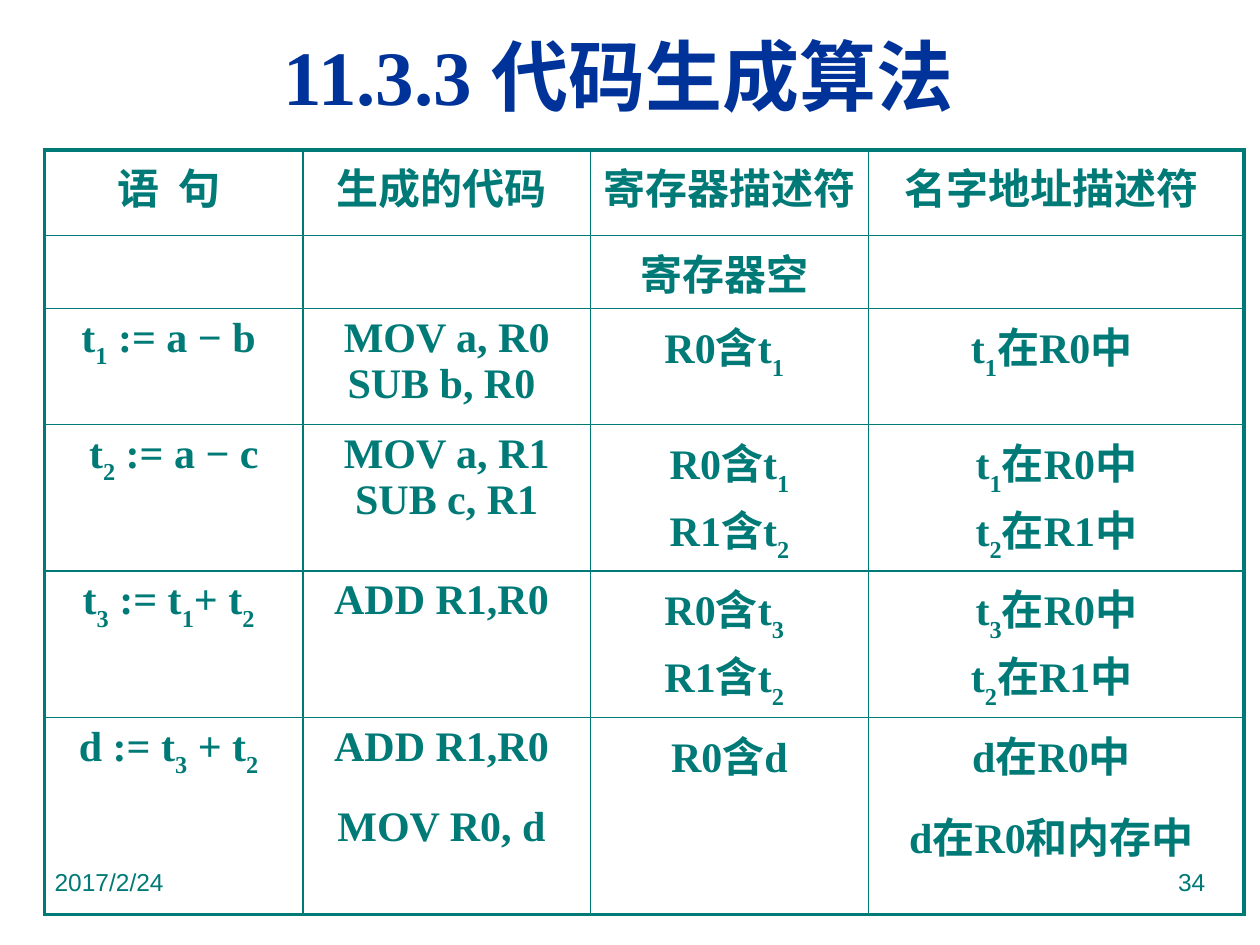
from lxml.etree import SubElement
from pptx import Presentation
from pptx.dml.color import RGBColor
from pptx.enum.text import MSO_ANCHOR, PP_ALIGN
from pptx.oxml.ns import qn
from pptx.util import Cm, Pt

TEAL = "007A77"
SERIF = "Times New Roman"
CELL = {"name": SERIF, "size": Pt(24), "bold": True}
TITLE = {"name": SERIF, "size": Pt(44), "bold": True}
FOOT = {"name": "Arial", "size": Pt(14)}
COLS = [5.21, 5.79, 5.61, 7.57]
ROWS = [1.73, 1.47, 2.34, 2.95, 2.95, 1.63, 2.34]
DATA = [
    ["语  句 ", "生成的代码 ", "寄存器描述符", "名字地址描述符 "],
    ["", "", "寄存器空 ", ""],
    ["t_1 := a − b ", "MOV a, R0\nSUB b, R0 ", "R0含t_1 ", "t_1在R0中 "],
    ["t_2 := a − c", "MOV a, R1\nSUB c, R1", "R0含t_1\nR1含t_2", "t_1在R0中\nt_2在R1中"],
    ["t_3 := t_1+ t_2 ", "ADD R1,R0 ", "R0含t_3 \nR1含t_2 ", "t_3在R0中\nt_2在R1中 "],
    ["d := t_3 + t_2 ", "ADD R1,R0 ", "R0含d", "d在R0中 "],
    ["", "MOV R0, d ", "", "d在R0和内存中 "],
]


def paint(text):
    return RGBColor.from_string(text)


def add_run(para, text, style, color, sub=False):
    run = para.add_run()
    run.text = text
    for key, value in style.items():
        setattr(run.font, key, value)
    run.font.color.rgb = paint(color)
    if sub:
        run._r.get_or_add_rPr().set("baseline", "-30000")


def write(frame, text, style, color, align):
    for i, line in enumerate(text.split("\n")):
        para = frame.paragraphs[0] if i == 0 else frame.add_paragraph()
        para.alignment = align
        head, *tail = line.split("_")
        if head:
            add_run(para, head, style, color)
        for part in tail:
            add_run(para, part[0], style, color, True)
            if part[1:]:
                add_run(para, part[1:], style, color)


def add_text(slide, box, text, style, color, align, anchor=MSO_ANCHOR.TOP):
    frame = slide.shapes.add_textbox(*map(Cm, box)).text_frame
    frame.word_wrap = True
    frame.vertical_anchor = anchor
    write(frame, text, style, color, align)


def add_edge(cell, side, width):
    line = SubElement(cell._tc.get_or_add_tcPr(), qn(f"a:ln{side}"), w=str(Pt(width)))
    if width:
        fill = SubElement(line, qn("a:solidFill"))
        SubElement(fill, qn("a:srgbClr"), val=TEAL)
    else:
        SubElement(line, qn("a:noFill"))


def set_edges(cell, row, col):
    last = len(ROWS) - 1
    widths = {
        "L": 2.25 if col == 0 else 1,
        "R": 2.25 if col == len(COLS) - 1 else 1,
        "T": {0: 2.25, last: 0}.get(row, 1),
        "B": {last: 2.25, last - 1: 0}.get(row, 1),
    }
    for side, width in widths.items():
        add_edge(cell, side, width)


def add_grid(slide, left, top):
    shape = slide.shapes.add_table(len(ROWS), len(COLS), Cm(left), Cm(top),
                                   Cm(sum(COLS)), Cm(sum(ROWS)))
    table = shape.table
    table.first_row = table.horz_banding = False
    for col, width in zip(table.columns, COLS):
        col.width = Cm(width)
    for row, height in zip(table.rows, ROWS):
        row.height = Cm(height)
    for r, texts in enumerate(DATA):
        for c, text in enumerate(texts):
            cell = table.cell(r, c)
            set_edges(cell, r, c)
            cell.fill.background()
            write(cell.text_frame, text, CELL, TEAL, PP_ALIGN.CENTER)


def main():
    deck = Presentation()
    deck.slide_width, deck.slide_height = Cm(25.4), Cm(19.05)
    slide = deck.slides.add_slide(deck.slide_layouts[6])
    add_text(slide, (0.85, 17.35, 6.35, 1.32), "2017/2/24", FOOT, TEAL, PP_ALIGN.LEFT)
    add_text(slide, (18.2, 17.35, 6.35, 1.32), "34", FOOT, TEAL, PP_ALIGN.RIGHT)
    add_text(slide, (2.25, 0.33, 20.45, 2.34), "11.3.3 代码生成算法", TITLE, "003399",
             PP_ALIGN.CENTER, MSO_ANCHOR.MIDDLE)
    add_grid(slide, 0.9, 3.02)
    deck.save("out.pptx")


if __name__ == "__main__":
    main()
